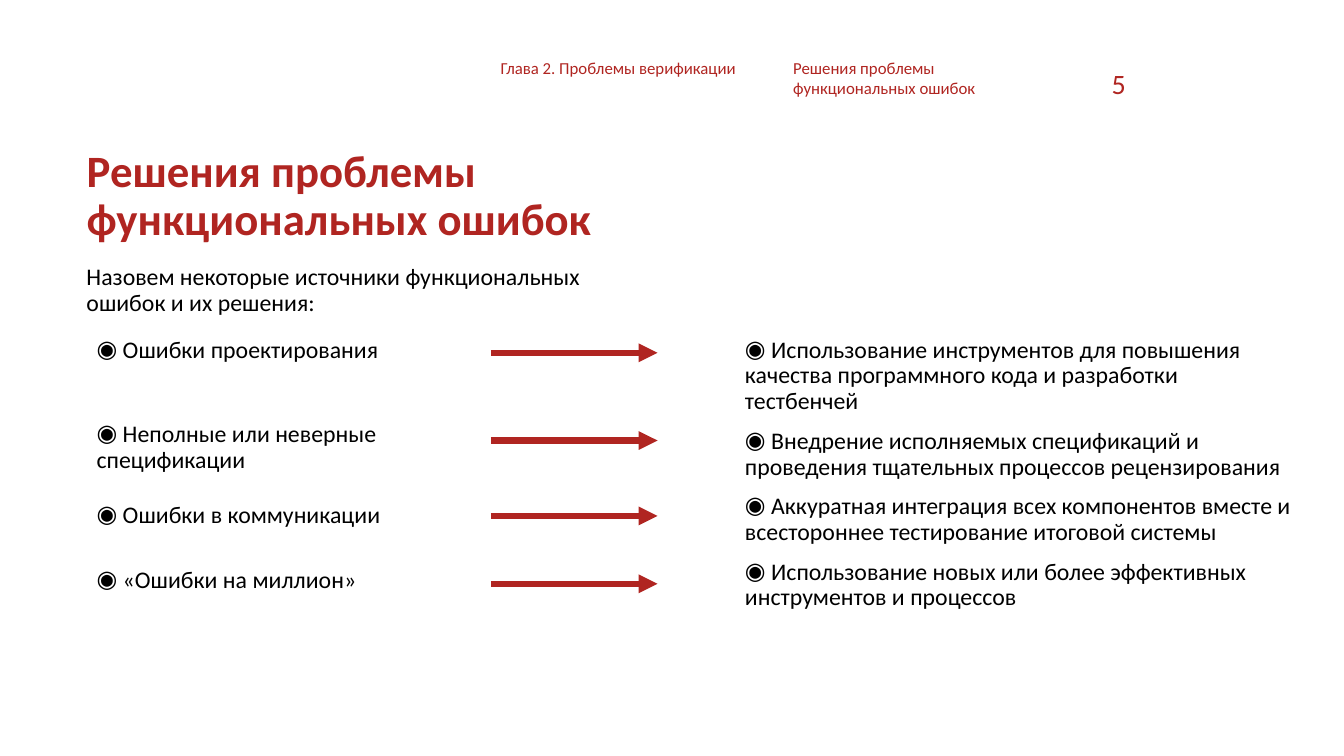
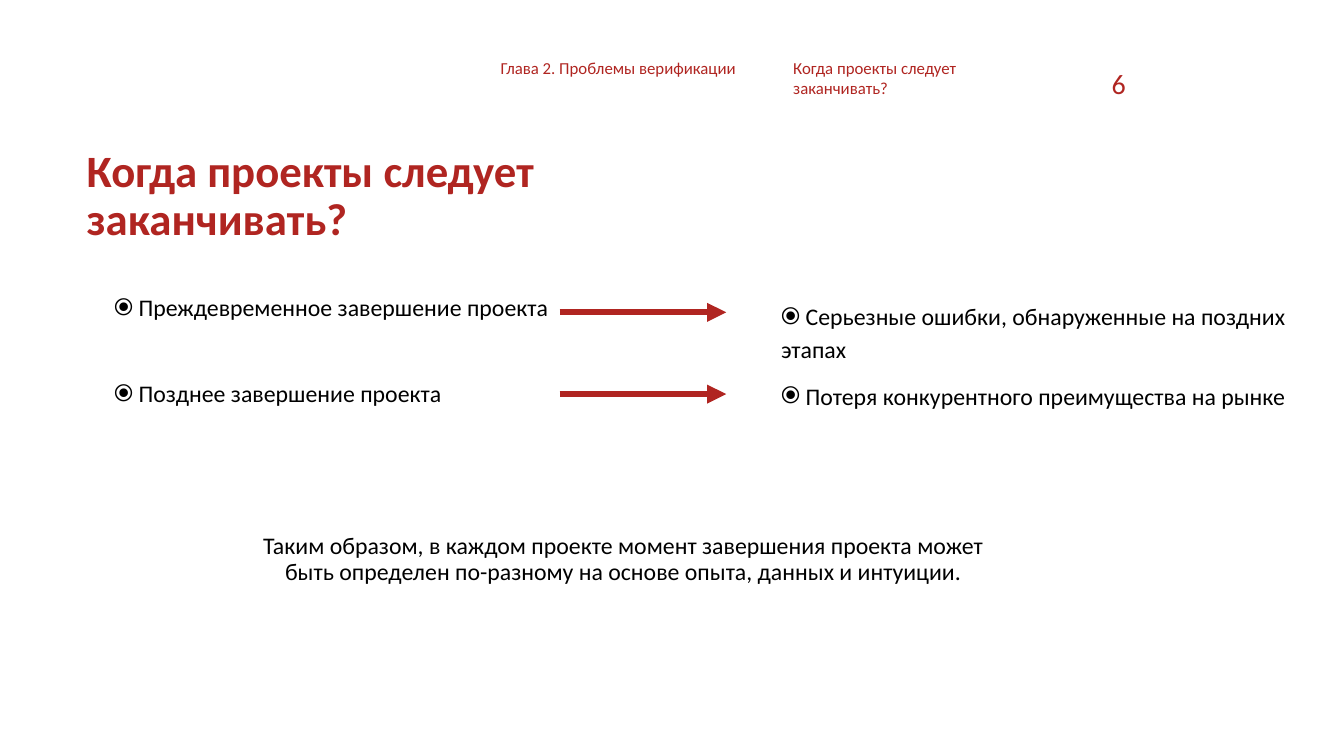
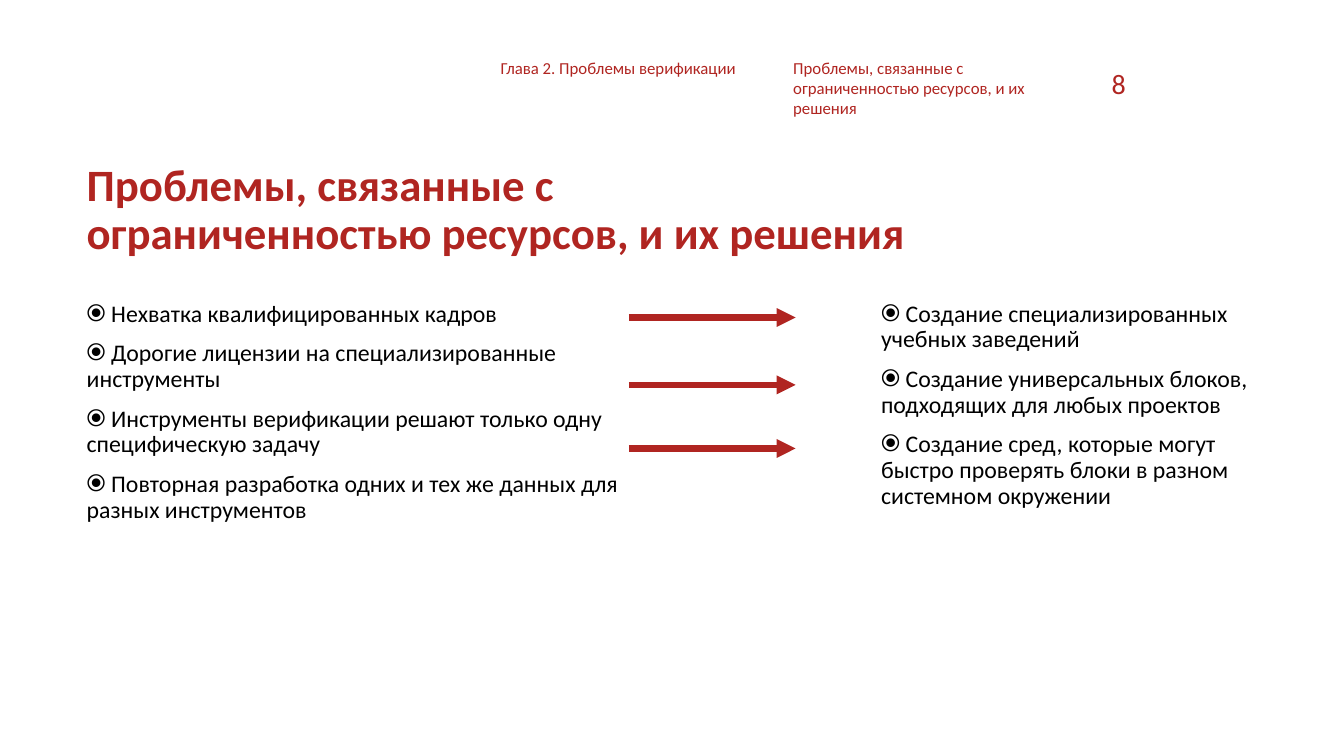
"""Build three slides that pair verification problems with their solutions."""
from lxml import etree
from pptx import Presentation
from pptx.dml.color import RGBColor
from pptx.enum import shapes, text
from pptx.oxml import ns
from pptx.util import Cm, Pt

RED = RGBColor(0xB0, 0x25, 0x21)
BLACK = RGBColor(0, 0, 0)
LEFT, CENTER, RIGHT = text.PP_ALIGN.LEFT, text.PP_ALIGN.CENTER, text.PP_ALIGN.RIGHT
TOP, MIDDLE = text.MSO_ANCHOR.TOP, text.MSO_ANCHOR.MIDDLE

TITLE = {"size": Pt(32), "bold": True, "color": RED, "spacing": 0.9, "anchor": MIDDLE}
HEADER = {"size": Pt(12), "color": RED}
NUMBER = {"size": Pt(20), "color": RED, "align": RIGHT, "anchor": MIDDLE}
BODY = {"size": Pt(17), "spacing": 0.9}
CHAPTER = "Глава 2. Проблемы верификации"
ARROW_LENGTH = 4.2

SLIDES = [
    {
        "title": "Решения проблемы функциональных ошибок",
        "number": "5",
        "title_box": (1.93, 3.76, 14.66, 2.41),
        "topic_height": 1.28,
        "bullet": "◉",
        "lists": [
            {
                "box": (2.18, 8.38, 10, 9.78), "spacing": 0.9, "gaps": (0, 42, 21, 28),
                "items": ["Ошибки проектирования", "Неполные или неверные спецификации",
                          "Ошибки в коммуникации", "«Ошибки на миллион»"],
            },
            {
                "box": (18.52, 8.38, 14.35, 9.52), "spacing": 0.9, "gaps": (0, 10, 10, 10),
                "items": [
                    "Использование инструментов для повышения качества программного кода и разработки тестбенчей",
                    "Внедрение исполняемых спецификаций и проведения тщательных процессов рецензирования",
                    "Аккуратная интеграция всех компонентов вместе и всестороннее тестирование итоговой системы",
                    "Использование новых или более эффективных инструментов и процессов",
                ],
            },
        ],
        "arrow_left": 12.37,
        "arrow_rows": (8.89, 11.1, 13, 14.71),
        "remark": ("Назовем некоторые источники функциональных ошибок и их решения:",
                   (1.93, 6.55, 13.13, 1.5), LEFT),
    },
    {
        "title": "Когда проекты следует заканчивать?",
        "number": "6",
        "title_box": (1.93, 3.76, 14.66, 2.41),
        "topic_height": 1.28,
        "bullet": "⦿",
        "lists": [
            {
                "box": (2.62, 7.26, 12.01, 2.9), "spacing": 1.0, "gaps": (0, 41),
                "items": ["Преждевременное завершение проекта", "Позднее завершение проекта"],
            },
            {
                "box": (19.43, 7.37, 13.23, 5.08), "spacing": 1.15, "gaps": (0, 10),
                "items": ["Серьезные ошибки, обнаруженные на поздних этапах",
                          "Потеря конкурентного преимущества на рынке"],
            },
        ],
        "arrow_left": 14.1,
        "arrow_rows": (7.87, 9.93),
        "remark": ("Таким образом, в каждом проекте момент завершения проекта может быть "
                   "определен по-разному на основе опыта, данных и интуиции.",
                   (6.02, 13.34, 19.38, 3.66), CENTER),
    },
    {
        "title": "Проблемы, связанные с ограниченностью ресурсов, и их решения",
        "number": "8",
        "title_box": (1.93, 3.53, 21.16, 3.58),
        "topic_height": 1.8,
        "bullet": "⦿",
        "lists": [
            {
                "box": (1.93, 7.47, 14.66, 8.68), "spacing": 0.9, "gaps": (0, 10, 10, 10),
                "items": ["Нехватка квалифицированных кадров",
                          "Дорогие лицензии на специализированные инструменты",
                          "Инструменты верификации решают только одну специфическую задачу",
                          "Повторная разработка одних и тех же данных для разных инструментов"],
            },
            {
                "box": (21.95, 7.47, 10.41, 8.68), "spacing": 0.9, "gaps": (0, 10, 10),
                "items": ["Создание специализированных учебных заведений",
                          "Создание универсальных блоков, подходящих для любых проектов",
                          "Создание сред, которые могут быстро проверять блоки в разном системном окружении"],
            },
        ],
        "arrow_left": 15.85,
        "arrow_rows": (8, 9.7, 11.3),
        "remark": None,
    },
]


def write(holder, box, lines, style, gaps=(0,), bullet=None):
    for side, length in zip(("left", "top", "width", "height"), box):
        setattr(holder, side, Cm(length))
    frame = holder.text_frame
    frame_format = {"word_wrap": True, "auto_size": text.MSO_AUTO_SIZE.NONE,
                    "vertical_anchor": style.get("anchor", TOP)}
    for key, value in frame_format.items():
        setattr(frame, key, value)
    for index, (line, gap) in enumerate(zip(lines, gaps)):
        paragraph = frame.add_paragraph() if index else frame.paragraphs[0]
        paragraph_format = {"alignment": style.get("align", LEFT), "space_before": Pt(gap),
                            "line_spacing": style.get("spacing", 1.0)}
        for key, value in paragraph_format.items():
            setattr(paragraph, key, value)
        run = paragraph.add_run()
        run.text = f" {line}" if bullet else line
        run_format = {"name": "Calibri", "size": style["size"], "bold": style.get("bold", False)}
        for key, value in run_format.items():
            setattr(run.font, key, value)
        run.font.color.rgb = style.get("color", BLACK)
        if bullet:
            properties = paragraph._p.get_or_add_pPr()
            properties.set("marL", "0")
            properties.set("indent", str(-Cm(0.3)))
            bullet_color = etree.SubElement(properties, ns.qn("a:buClr"))
            etree.SubElement(bullet_color, ns.qn("a:srgbClr"), val=str(BLACK))
            etree.SubElement(properties, ns.qn("a:buFont"), typeface="Calibri")
            etree.SubElement(properties, ns.qn("a:buChar"), char=bullet)


deck = Presentation()
deck.slide_width, deck.slide_height = Cm(33.87), Cm(19.05)

for content in SLIDES:
    slide = deck.slides.add_slide(deck.slide_layouts[3])
    title, problems, solutions = slide.placeholders
    write(title, content["title_box"], [content["title"]], TITLE)

    for column, entry in zip((problems, solutions), content["lists"]):
        write(column, entry["box"], entry["items"], BODY | {"spacing": entry["spacing"]},
              entry["gaps"], content["bullet"])

    captions = [
        (CHAPTER, (12.37, 1.32, 6.68, 0.77), HEADER),
        (content["title"], (19.74, 1.32, 6.68, content["topic_height"]), HEADER),
        (content["number"], (27.71, 1.6, 0.91, 1.02), NUMBER),
    ]
    if content["remark"]:
        remark, remark_box, alignment = content["remark"]
        captions.append((remark, remark_box, BODY | {"align": alignment}))
    for caption, box, style in captions:
        write(slide.shapes.add_textbox(0, 0, 0, 0), box, [caption], style)

    start, end = Cm(content["arrow_left"]), Cm(content["arrow_left"] + ARROW_LENGTH)
    for row in content["arrow_rows"]:
        arrow = slide.shapes.add_connector(shapes.MSO_CONNECTOR.STRAIGHT, start, Cm(row), end, Cm(row))
        arrow.line.color.rgb = RED
        arrow.line.width = Pt(4.5)
        etree.SubElement(arrow.line._get_or_add_ln(), ns.qn("a:tailEnd"), type="triangle")
        etree.SubElement(arrow._element.spPr, ns.qn("a:effectLst"))

deck.save("out.pptx")
